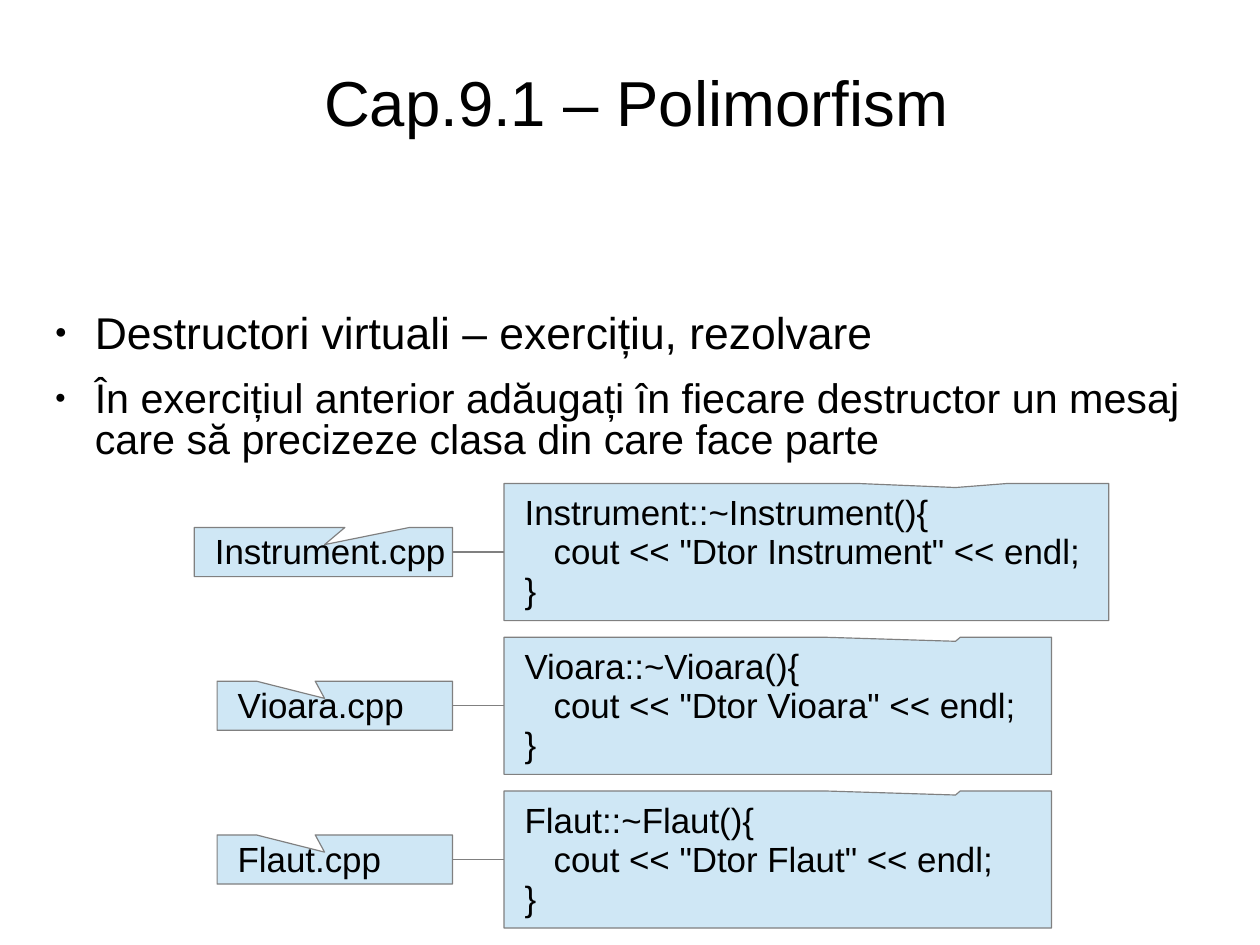
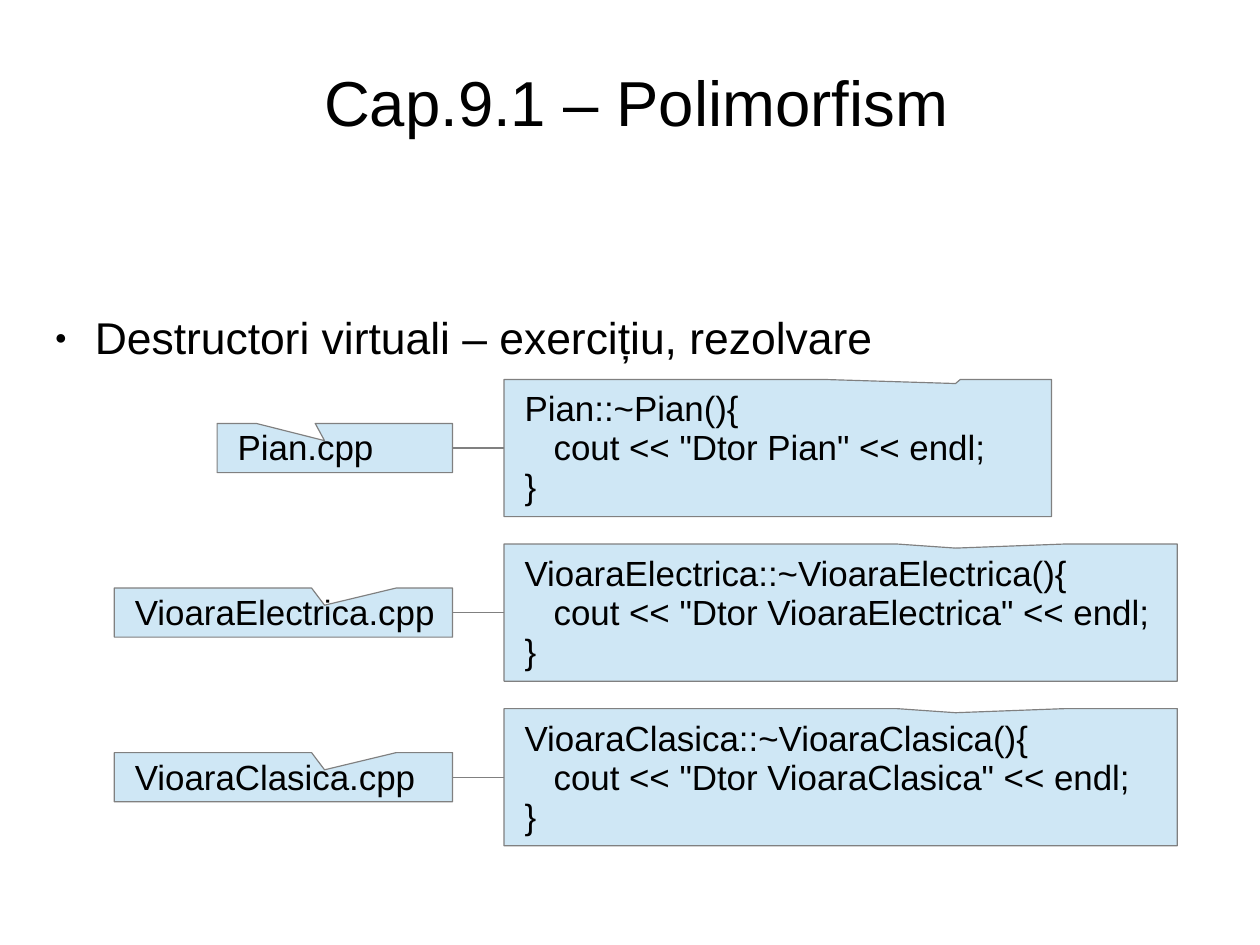
from lxml import etree
from pptx import Presentation
from pptx.dml.color import RGBColor
from pptx.enum import shapes, text
from pptx.oxml import ns
from pptx.util import Inches, Pt

COLORS = {"ink": "000000", "fill": "CFE7F5", "line": "808080"}
FONT = "Arial"
WIDTH, HEIGHT = 28 / 2.54, 21 / 2.54
TITLE = "Cap.9.1 – Polimorfism"
TOPIC = "Destructori virtuali – exercițiu, rezolvare"
TASK = ("În exercițiul anterior adăugați în fiecare destructor un mesaj "
        "care să precizeze clasa din care face parte")
LABEL_END, CODE_LEFT = 3.96, 4.41
LABEL_H, CODE_H = 0.43, 1.2
LABEL_TIP, CODE_TIP = 2.84, 8.36
SHORT, MEDIUM, LONG = (2.06, 4.79), (2.26, 5.29), (2.96, 5.89)


def color(name):
    """Return a palette colour."""
    return RGBColor.from_string(COLORS[name])


def inset(frame, left, top, right, bottom):
    """Set the four margins of a wrapped text frame."""
    frame.word_wrap = True
    frame.margin_left, frame.margin_top = Inches(left), Inches(top)
    frame.margin_right, frame.margin_bottom = Inches(right), Inches(bottom)


def style(para, size, spacing=0.93):
    """Set the font and line spacing of a paragraph."""
    para.line_spacing = spacing
    for run in para.runs:
        run.font.name, run.font.size = FONT, Pt(size)
        run.font.color.rgb = color("ink")


def bullet(para):
    """Give a paragraph a small round bullet and a hanging indent."""
    props = para._p.get_or_add_pPr()
    props.set("marL", str(Inches(0.47)))
    props.set("indent", str(Inches(-0.35)))
    tint = etree.SubElement(props, ns.qn("a:buClr"))
    etree.SubElement(tint, ns.qn("a:srgbClr"), val=COLORS["ink"])
    etree.SubElement(props, ns.qn("a:buSzPct"), val="45000")
    etree.SubElement(props, ns.qn("a:buFont"), typeface=FONT)
    etree.SubElement(props, ns.qn("a:buChar"), char="●")


def add_title(slide, left, top, width, height):
    """Place the shared title."""
    box = slide.shapes.add_textbox(*map(Inches, (left, top, width, height)))
    frame = box.text_frame
    inset(frame, 0, 0.04, 0, 0)
    frame.vertical_anchor = text.MSO_ANCHOR.MIDDLE
    frame.text = TITLE
    para = frame.paragraphs[0]
    para.alignment = text.PP_ALIGN.CENTER
    style(para, 40)


def add_body(slide, left, top, width, height, items, spacing):
    """Place a bulleted list of (wording, size) items."""
    box = slide.shapes.add_textbox(*map(Inches, (left, top, width, height)))
    frame = box.text_frame
    inset(frame, 0, 0.03, 0, 0)
    frame.text = "\n".join(words for words, _ in items)
    for para, (_, size) in zip(frame.paragraphs, items):
        bullet(para)
        para.space_after = Pt(14.1)
        style(para, size, spacing)


def callout(slide, left, top, width, height, tip, rise, words):
    """Place a callout whose tip lies at the given horizontal position."""
    shape = slide.shapes.add_shape(
        shapes.MSO_SHAPE.RECTANGULAR_CALLOUT,
        *map(Inches, (left, top, width, height)))
    shape.adjustments[0] = (tip - left) / width - 0.5
    shape.adjustments[1] = rise
    shape.shadow.inherit = False
    shape.fill.solid()
    shape.fill.fore_color.rgb = color("fill")
    shape.line.color.rgb = color("line")
    shape.line.width = Pt(0.75)
    frame = shape.text_frame
    inset(frame, 0.18, 0.07, 0, 0.05)
    frame.vertical_anchor = text.MSO_ANCHOR.MIDDLE
    frame.text = words
    for para in frame.paragraphs:
        para.alignment = text.PP_ALIGN.LEFT
        style(para, 22)
    return shape


def add_row(slide, top, name, widths):
    """Place a file label joined to its destructor code."""
    label_w, code_w = widths
    code = f'{name}::~{name}(){{\n   cout << "Dtor {name}" << endl;\n}}'
    file = callout(slide, LABEL_END - label_w, top + (CODE_H - LABEL_H) / 2,
                   label_w, LABEL_H, LABEL_TIP, -0.15, f"{name}.cpp")
    block = callout(slide, CODE_LEFT, top, code_w, CODE_H,
                    CODE_TIP, -0.47, code)
    link = slide.shapes.add_connector(shapes.MSO_CONNECTOR.ELBOW, 0, 0, 0, 0)
    link.begin_connect(file, 3)
    link.end_connect(block, 1)
    link.line.color.rgb = color("line")
    link.line.width = Pt(0.75)
    etree.SubElement(link._element.spPr, ns.qn("a:effectLst"))


def add_slide(deck, items, spacing, height, first, last, rows):
    """Build one slide: title, bullets and evenly spaced code rows."""
    slide = deck.slides.add_slide(deck.slide_layouts[6])
    add_title(slide, 0.36, 0.28, 10.41, 1.24)
    add_body(slide, 0.36, 2.72, 10.34, height, items, spacing)
    pitch = (last - first) / (len(rows) - 1)
    for i, (name, widths) in enumerate(rows):
        add_row(slide, first + i * pitch, name, widths)


def main():
    """Build and save the deck."""
    deck = Presentation()
    deck.slide_width, deck.slide_height = Inches(WIDTH), Inches(HEIGHT)
    add_slide(deck, [(TOPIC, 28), (TASK, 26)], 0.83, 1.44, 4.23, 6.92,
              [("Instrument", MEDIUM), ("Vioara", SHORT), ("Flaut", SHORT)])
    add_slide(deck, [(TOPIC, 28)], 0.93, 0.58, 3.32, 6.2,
              [("Pian", SHORT), ("VioaraElectrica", LONG),
               ("VioaraClasica", LONG)])
    deck.save("out.pptx")


if __name__ == "__main__":
    main()
